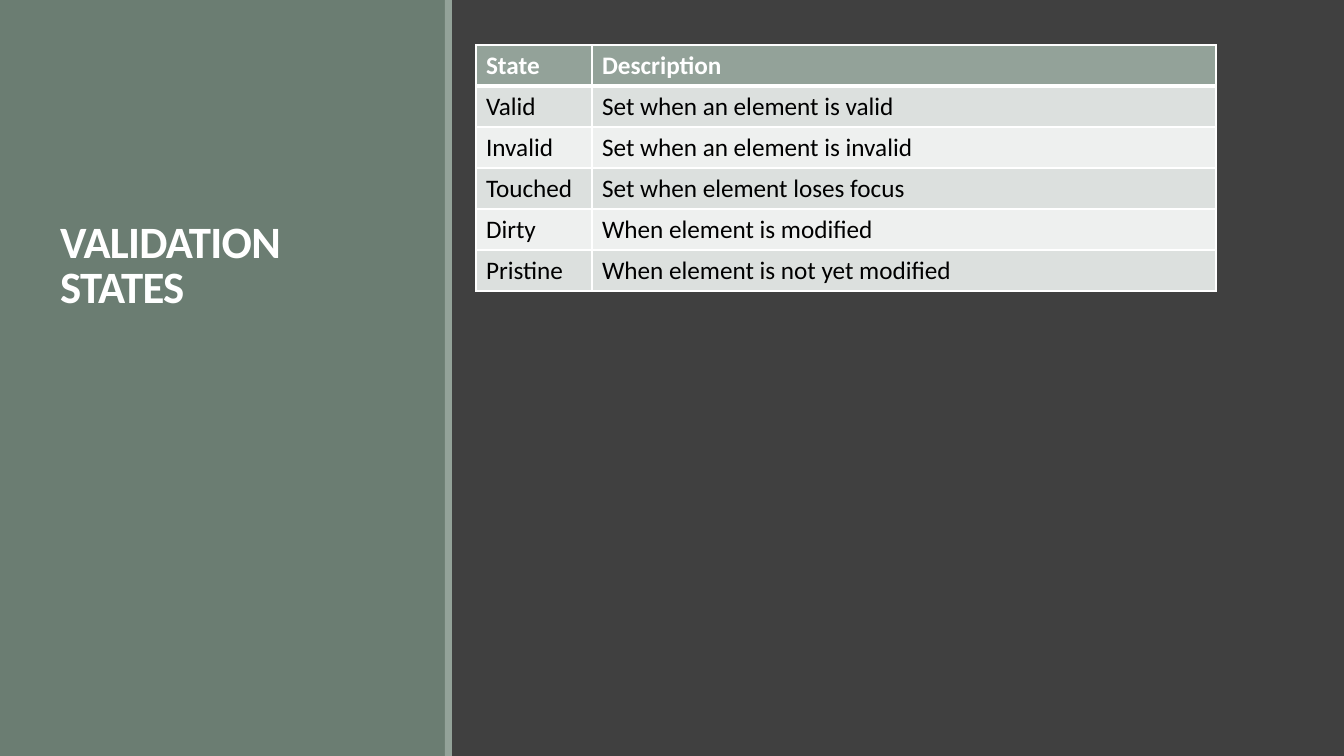
from lxml import etree
from pptx import Presentation
from pptx.dml.color import RGBColor
from pptx.enum.shapes import MSO_SHAPE
from pptx.enum.text import MSO_ANCHOR, MSO_AUTO_SIZE, PP_ALIGN
from pptx.oxml.ns import qn
from pptx.util import Pt

RECTANGLE = MSO_SHAPE.RECTANGLE
BOTTOM = MSO_ANCHOR.BOTTOM
NO_AUTOFIT = MSO_AUTO_SIZE.NONE
LEFT = PP_ALIGN.LEFT

SLIDE_WIDTH, SLIDE_HEIGHT = 1344, 756
SCALE = 12192000 / SLIDE_WIDTH
TITLE_ONLY = 5

WHITE, BLACK, SAGE = "FFFFFF", "000000", "93A299"
BAND_COLORS = ["EEF0EF", "DCE0DE"]
COLUMN_WIDTHS = [116, 624]
ROW_HEIGHT = 41

STATES = [
    ("State", "Description"),
    ("Valid", "Set when an element is valid"),
    ("Invalid", "Set when an element is invalid"),
    ("Touched", "Set when element loses focus"),
    ("Dirty", "When element is modified"),
    ("Pristine", "When element is not yet modified"),
]


def pixels(*lengths):
    return [round(length * SCALE) for length in lengths]


def paint(fill, color):
    fill.solid()
    fill.fore_color.rgb = RGBColor.from_string(color)


presentation = Presentation()
presentation.slide_width, presentation.slide_height = pixels(SLIDE_WIDTH, SLIDE_HEIGHT)
slide = presentation.slides.add_slide(presentation.slide_layouts[TITLE_ONLY])
paint(slide.background.fill, "404040")

for left, width, color in [(0, 446, "6B7D72"), (445, 7, SAGE)]:
    panel = slide.shapes.add_shape(RECTANGLE, *pixels(left, 0, width, SLIDE_HEIGHT))
    panel.shadow.inherit = False
    paint(panel.fill, color)
    panel.line.fill.background()

title = slide.shapes.title
title.element.getparent().append(title.element)
title.left, title.top, title.width, title.height = pixels(50, 66, 353, 252)
title_format = {"word_wrap": True, "auto_size": NO_AUTOFIT, "vertical_anchor": BOTTOM}
for name, value in title_format.items():
    setattr(title.text_frame, name, value)
paragraph = title.text_frame.paragraphs[0]
paragraph.alignment = LEFT
paragraph.line_spacing = 0.85
run = paragraph.add_run()
run.text = "VALIDATION STATES"
for name, value in {"name": "Calibri", "size": Pt(32), "bold": True}.items():
    setattr(run.font, name, value)
paint(run.font.fill, WHITE)
run._r.get_or_add_rPr().set("spc", "-50")

table_size = (sum(COLUMN_WIDTHS), ROW_HEIGHT * len(STATES))
table = slide.shapes.add_table(
    len(STATES), len(COLUMN_WIDTHS), *pixels(476, 45, *table_size)
).table
for column, width in zip(table.columns, pixels(*COLUMN_WIDTHS)):
    column.width = width

for row_index, state in enumerate(STATES):
    is_header = row_index == 0
    border_widths = {
        "lnL": 1,
        "lnR": 1,
        "lnT": 3 if row_index == 1 else 1,
        "lnB": 3 if is_header else 1,
    }
    for column_index, text in enumerate(state):
        cell = table.cell(row_index, column_index)
        cell.text = text
        font = cell.text_frame.paragraphs[0].runs[0].font
        for name, value in {"name": "Calibri", "size": Pt(18), "bold": is_header}.items():
            setattr(font, name, value)
        paint(font.fill, WHITE if is_header else BLACK)
        properties = cell._tc.get_or_add_tcPr()
        for side, width in border_widths.items():
            border = etree.SubElement(properties, qn(f"a:{side}"), w=str(Pt(width)))
            border_fill = etree.SubElement(border, qn("a:solidFill"))
            etree.SubElement(border_fill, qn("a:srgbClr"), val=WHITE)
        paint(cell.fill, SAGE if is_header else BAND_COLORS[row_index % 2])

presentation.save("out.pptx")
